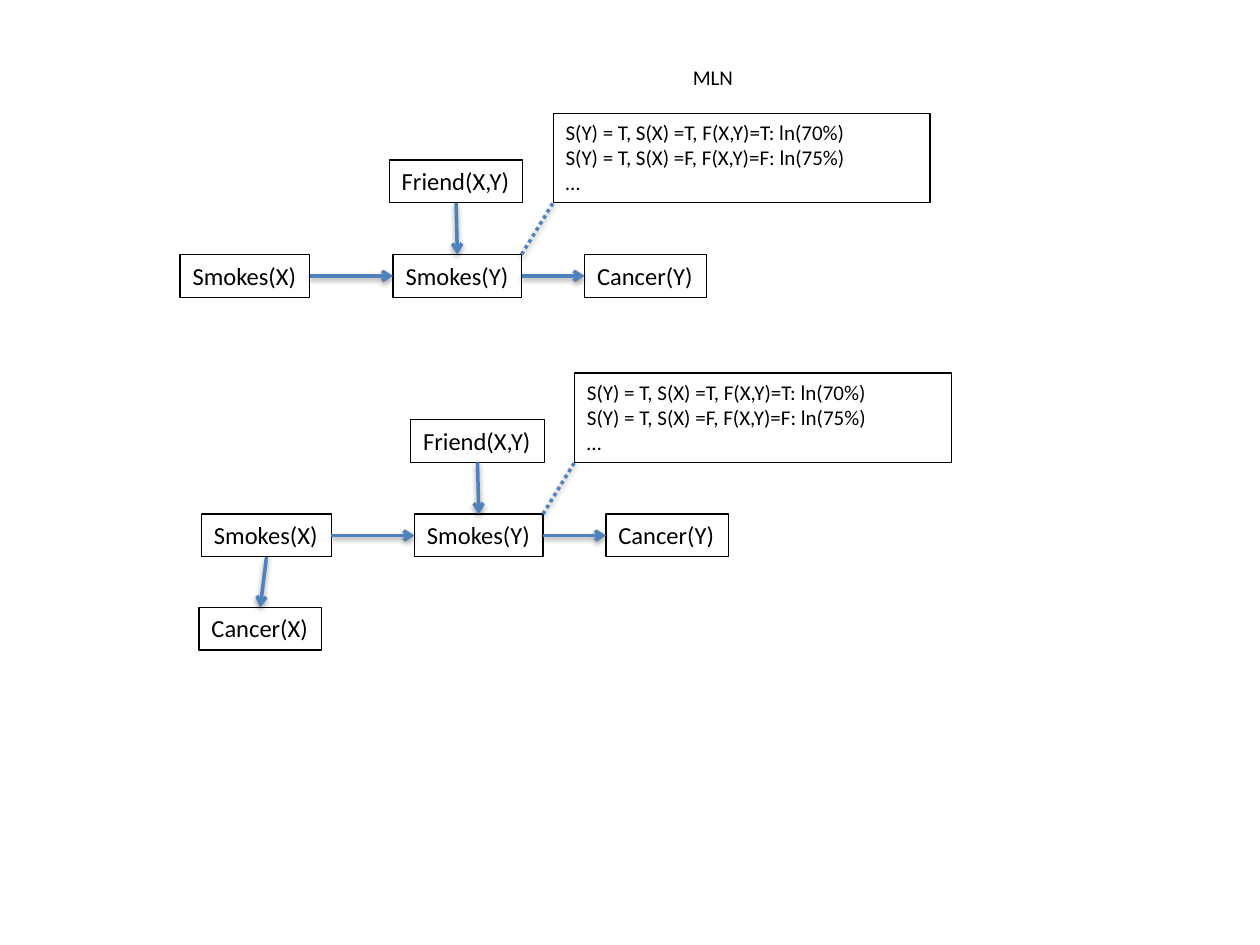
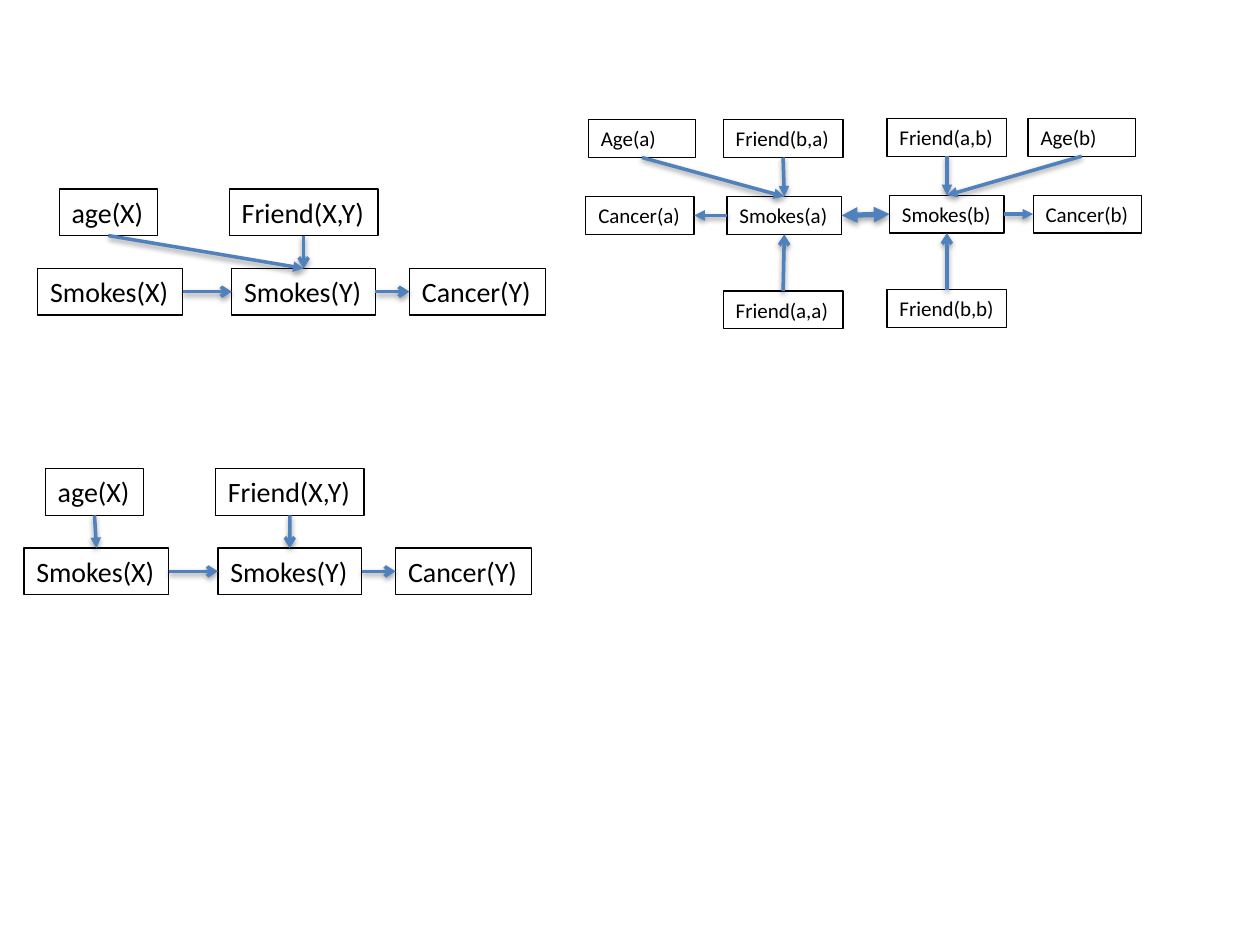
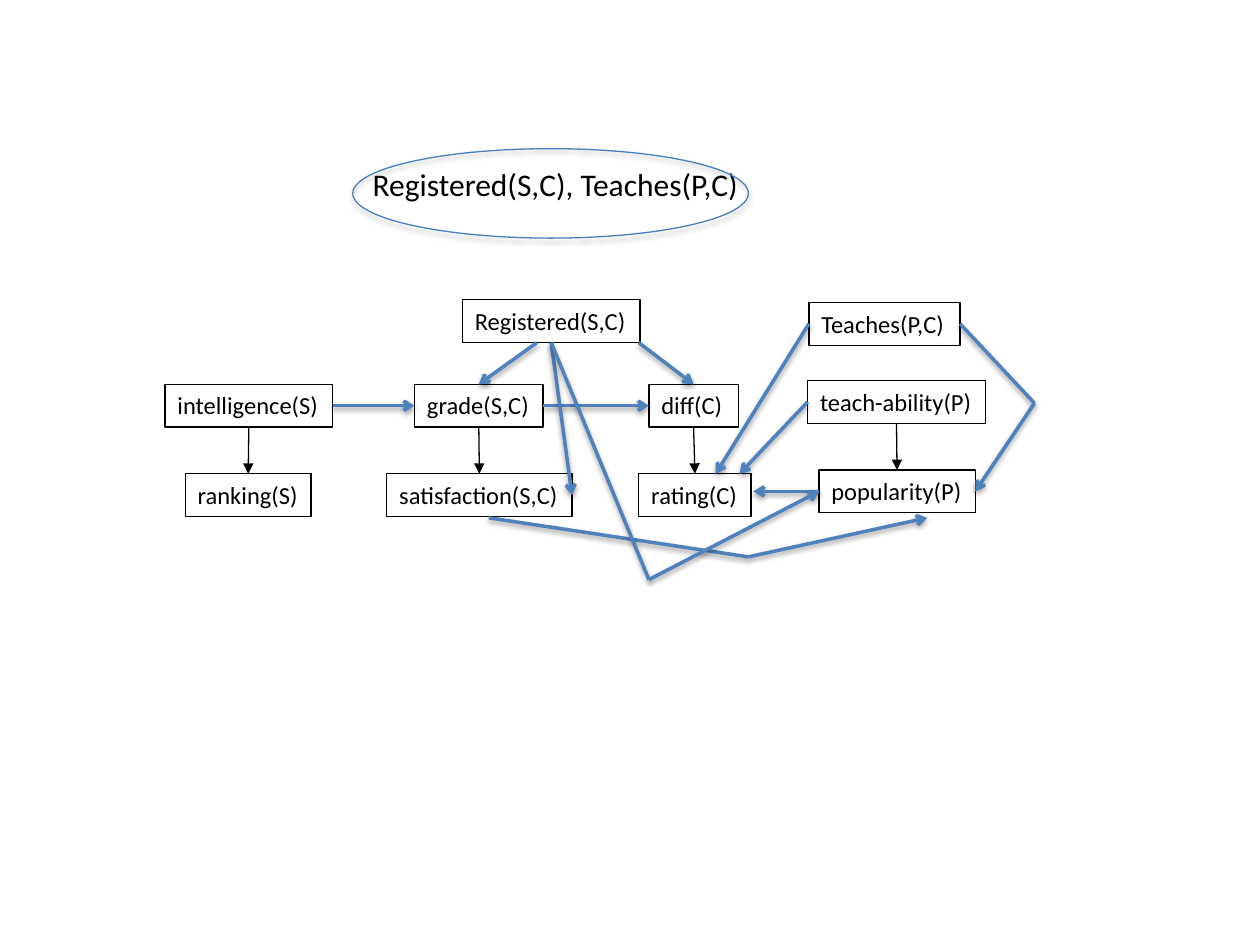
from dataclasses import dataclass

from lxml import etree
from pptx import Presentation
from pptx.dml.color import RGBColor
from pptx.enum.dml import MSO_LINE
from pptx.enum.shapes import MSO_CONNECTOR, MSO_SHAPE
from pptx.enum.text import MSO_ANCHOR, MSO_AUTO_SIZE, PP_ALIGN
from pptx.oxml.ns import qn
from pptx.util import Inches, Pt

TOP, LEFT, BOTTOM, RIGHT = range(4)


@dataclass(frozen=True)
class Theme:
    font: str = "Calibri"
    ink: RGBColor = RGBColor(0x00, 0x00, 0x00)
    paper: RGBColor = RGBColor(0xFF, 0xFF, 0xFF)
    flow: RGBColor = RGBColor(0x4F, 0x81, 0xBD)
    oval: RGBColor = RGBColor(0x4B, 0x7E, 0xBC)
    small: int = 12
    medium: int = 14
    large: int = 16
    heading: int = 18
    thin: float = 0.75
    flow_width: float = 2
    mutual_width: float = 3


THEME = Theme()
NODE_HEIGHT = {THEME.small: 0.3, THEME.medium: 0.34, THEME.large: 0.37, THEME.heading: 0.4}

FLOW = {"color": THEME.flow, "width": THEME.flow_width, "tail": "arrow"}
SOLID_FLOW = FLOW | {"tail": "triangle"}
PLAIN_FLOW = FLOW | {"tail": None}
DOTTED = PLAIN_FLOW | {"dash": MSO_LINE.ROUND_DOT}
MUTUAL = SOLID_FLOW | {"width": THEME.mutual_width, "head": "triangle"}
CHILD = {"color": THEME.ink, "width": THEME.thin, "tail": "triangle", "shadow": False}


def apply_formats(target, formats):
    for name, value in formats.items():
        setattr(target, name, value)


class Diagram:
    """Nodes and links placed relative to the top left corner of a box."""

    def __init__(self, shapes, left=0, top=0, size=THEME.medium):
        self.shapes, self.left, self.top, self.size = shapes, left, top, size
        self.nodes = {}

    def place(self, x, y):
        return Inches(self.left + x), Inches(self.top + y)

    def node(self, text, x, y, width, height=None, wrap=False, outline=True, fill=None):
        height = height or NODE_HEIGHT[self.size]
        shape = self.shapes.add_shape(
            MSO_SHAPE.RECTANGLE, *self.place(x, y), Inches(width), Inches(height))
        shape.shadow.inherit = False
        if fill is None:
            shape.fill.background()
        else:
            shape.fill.solid()
            shape.fill.fore_color.rgb = fill
        if outline:
            shape.line.color.rgb = THEME.ink
            shape.line.width = Pt(THEME.thin)
        else:
            shape.line.fill.background()
        frame = shape.text_frame
        frame.text = text
        apply_formats(frame, {
            "word_wrap": wrap,
            "auto_size": MSO_AUTO_SIZE.SHAPE_TO_FIT_TEXT,
            "vertical_anchor": MSO_ANCHOR.TOP,
        })
        for paragraph in frame.paragraphs:
            paragraph.alignment = PP_ALIGN.LEFT
            apply_formats(paragraph.font, {"name": THEME.font, "size": Pt(self.size)})
            paragraph.font.color.rgb = THEME.ink
        self.nodes[text] = shape
        return shape

    def resolve(self, end):
        """Turn (node, side) or (x, y) into a point and the arguments that join it."""
        anchor, side = end
        shape = self.nodes.get(anchor) if isinstance(anchor, str) else None
        if shape is None:
            return self.place(anchor, side), None
        middle_x = shape.left + shape.width // 2
        middle_y = shape.top + shape.height // 2
        point = {
            TOP: (middle_x, shape.top),
            LEFT: (shape.left, middle_y),
            BOTTOM: (middle_x, shape.top + shape.height),
            RIGHT: (shape.left + shape.width, middle_y),
        }[side]
        return point, (shape, side)

    def link(self, start, end, style=FLOW):
        (begin_point, begin_join), (end_point, end_join) = map(self.resolve, (start, end))
        connector = self.shapes.add_connector(
            MSO_CONNECTOR.STRAIGHT, *begin_point, *end_point)
        if begin_join:
            connector.begin_connect(*begin_join)
        if end_join:
            connector.end_connect(*end_join)
        connector.line.color.rgb = style["color"]
        connector.line.width = Pt(style["width"])
        if "dash" in style:
            connector.line.dash_style = style["dash"]
        line_element = connector.get_or_add_ln()
        for tag in ("head", "tail"):
            if style.get(tag):
                etree.SubElement(line_element, qn(f"a:{tag}End")).set("type", style[tag])
        if not style.get("shadow", True):
            etree.SubElement(connector._element.spPr, qn("a:effectLst"))


def add_smoking_chain(diagram, row, nodes):
    """Draw Smokes(X) to Smokes(Y) to Cancer(Y), with Friend(X,Y) above."""
    for text, (x, width) in nodes.items():
        diagram.node(text, x, row if text[0] in "SC" else row - diagram_gap(diagram), width)
    diagram.link(("Friend(X,Y)", BOTTOM), ("Smokes(Y)", TOP))
    diagram.link(("Smokes(Y)", RIGHT), ("Cancer(Y)", LEFT))
    diagram.link(("Smokes(X)", RIGHT), ("Smokes(Y)", LEFT))


def diagram_gap(diagram):
    """Distance between the tops of two rows of a smoking chain."""
    return 0.75 if diagram.size == THEME.medium else 0.63


def add_weighted_chain(shapes, left, top):
    diagram = Diagram(shapes, left, top)
    add_smoking_chain(diagram, 1.12, {
        "Cancer(Y)": (3.21, 0.97),
        "Smokes(X)": (0, 1.03),
        "Friend(X,Y)": (1.66, 1.06),
        "Smokes(Y)": (1.69, 1.02),
    })
    diagram.size = THEME.small
    diagram.node(
        "S(Y) = T, S(X) =T, F(X,Y)=T: ln(70%)\n"
        "S(Y) = T, S(X) =F, F(X,Y)=F: ln(75%)\n…",
        2.96, 0, 2.99, 0.71, wrap=True)
    diagram.link((2.71, 1.12), (2.96, 0.71), DOTTED)
    diagram.size = THEME.medium
    return diagram


def add_age_chain(shapes, left, top, age_target):
    diagram = Diagram(shapes.add_group_shape().shapes, left, top, THEME.large)
    add_smoking_chain(diagram, 0.63, {
        "Cancer(Y)": (2.95, 1.08),
        "Smokes(X)": (0, 1.15),
        "Friend(X,Y)": (1.52, 1.18),
        "Smokes(Y)": (1.54, 1.14),
        "age(X)": (0.17, 0.78),
    })
    diagram.link(("age(X)", BOTTOM), (age_target, TOP), SOLID_FLOW)


def add_person(diagram, person, other, top, columns, cancer_side):
    """Draw one person's nodes around Smokes; columns are the lefts of the four kinds."""
    smokes, cancer, age = (f"{kind}({person})" for kind in ("Smokes", "Cancer", "Age"))
    friend, self_friend = f"Friend({other},{person})", f"Friend({person},{person})"
    diagram.node(cancer, columns["cancer"], top + 0.61, 0.86)
    diagram.node(smokes, columns["smokes"], top + 0.61, 0.91)
    diagram.node(friend, columns["friend"], top, 0.95)
    diagram.node(self_friend, columns["friend"], top + 1.36, 0.95)
    diagram.node(age, columns["age"], top, 0.85, wrap=True)
    diagram.link((friend, BOTTOM), (smokes, TOP), SOLID_FLOW)
    diagram.link((smokes, cancer_side), (cancer, LEFT + RIGHT - cancer_side), SOLID_FLOW)
    diagram.link((self_friend, TOP), (smokes, BOTTOM))
    diagram.link((age, BOTTOM), (smokes, TOP), SOLID_FLOW)


def add_people(shapes, left, top):
    diagram = Diagram(shapes, left, top, THEME.small)
    add_person(diagram, "a", "b", 0.01,
               {"cancer": 0, "age": 0.02, "friend": 1.09, "smokes": 1.12}, LEFT)
    add_person(diagram, "b", "a", 0,
               {"friend": 2.39, "smokes": 2.41, "age": 3.51, "cancer": 3.55}, RIGHT)
    diagram.link(("Smokes(a)", RIGHT), ("Smokes(b)", LEFT), MUTUAL)


def add_relation_heading(shapes, left, top):
    diagram = Diagram(shapes.add_group_shape().shapes, left, top, THEME.heading)
    diagram.node("Registered(S,C), Teaches(P,C)", 0.06, 0.08, 3.42,
                 wrap=True, outline=False, fill=THEME.paper)
    oval = diagram.shapes.add_shape(
        MSO_SHAPE.OVAL, *diagram.place(0, 0), Inches(3.14), Inches(0.71))
    oval.fill.background()
    oval.line.color.rgb = THEME.oval
    oval.line.width = Pt(THEME.thin)


def add_course_network(shapes, left, top):
    diagram = Diagram(shapes, left, top)
    attribute_row, child_row = 0.67, 1.38
    for text, x, y, width in (
        ("Registered(S,C)", 2.36, 0, 1.41),
        ("Teaches(P,C)", 5.11, 0.02, 1.2),
        ("intelligence(S)", 0, attribute_row, 1.33),
        ("grade(S,C)", 1.98, attribute_row, 1.02),
        ("teach-ability(P)", 5.1, 0.64, 1.41),
        ("ranking(S)", 0.16, child_row, 1),
        ("satisfaction(S,C)", 1.76, child_row, 1.47),
        ("popularity(P)", 5.19, 1.35, 1.24),
    ):
        diagram.node(text, x, y, width)
    diagram.node("diff(C)", 3.84, attribute_row, 0.71, wrap=True)
    diagram.node("rating(C)", 3.76, child_row, 0.89, wrap=True)

    for parent, child in (
        ("intelligence(S)", "ranking(S)"),
        ("grade(S,C)", "satisfaction(S,C)"),
        ("diff(C)", "rating(C)"),
        ("teach-ability(P)", "popularity(P)"),
    ):
        diagram.link((parent, BOTTOM), (child, TOP), CHILD)

    for start, end in (
        (("intelligence(S)", RIGHT), ("grade(S,C)", LEFT)),
        (("grade(S,C)", RIGHT), ("diff(C)", LEFT)),
        ((3.76, 0.34), ("diff(C)", TOP)),
        ((2.95, 0.34), ("grade(S,C)", TOP)),
        (("Registered(S,C)", BOTTOM), ("satisfaction(S,C)", RIGHT)),
        (("teach-ability(P)", LEFT), (4.56, 1.38)),
        (("popularity(P)", LEFT), (4.67, 1.52)),
        (("Teaches(P,C)", LEFT), (4.37, 1.38)),
    ):
        diagram.link(start, end)

    for start, bend, end in (
        ((2.57, 1.73), (4.63, 2.04), (6.05, 1.73)),
        (("Registered(S,C)", BOTTOM), (3.84, 2.22), ("popularity(P)", LEFT)),
        (("Teaches(P,C)", RIGHT), (6.9, 0.82), ("popularity(P)", RIGHT)),
    ):
        diagram.link(start, bend, PLAIN_FLOW)
        diagram.link(bend, end)


def build_weights_slide(shapes):
    Diagram(shapes, size=THEME.small).node("MLN", 5.4, 0.46, 0.97, wrap=True, outline=False)
    add_weighted_chain(shapes, 1.43, 0.9)
    extended = add_weighted_chain(shapes, 1.6, 2.96)
    extended.node("Cancer(X)", -0.02, 1.86, 0.97)
    extended.link(("Smokes(X)", BOTTOM), ("Cancer(X)", TOP))


def build_age_slide(shapes):
    add_age_chain(shapes, 0.19, 3.72, "Smokes(X)")
    add_people(shapes, 4.65, 0.94)
    add_age_chain(shapes, 0.3, 1.5, "Smokes(Y)")


def build_course_slide(shapes):
    add_relation_heading(shapes, 2.8, 1.18)
    add_course_network(shapes, 1.31, 2.38)


def main():
    presentation = Presentation()
    presentation.slide_width, presentation.slide_height = Inches(10), Inches(7.5)
    blank_layout = presentation.slide_layouts[6]
    for build_slide in (build_weights_slide, build_age_slide, build_course_slide):
        build_slide(presentation.slides.add_slide(blank_layout).shapes)
    presentation.save("out.pptx")


if __name__ == "__main__":
    main()
